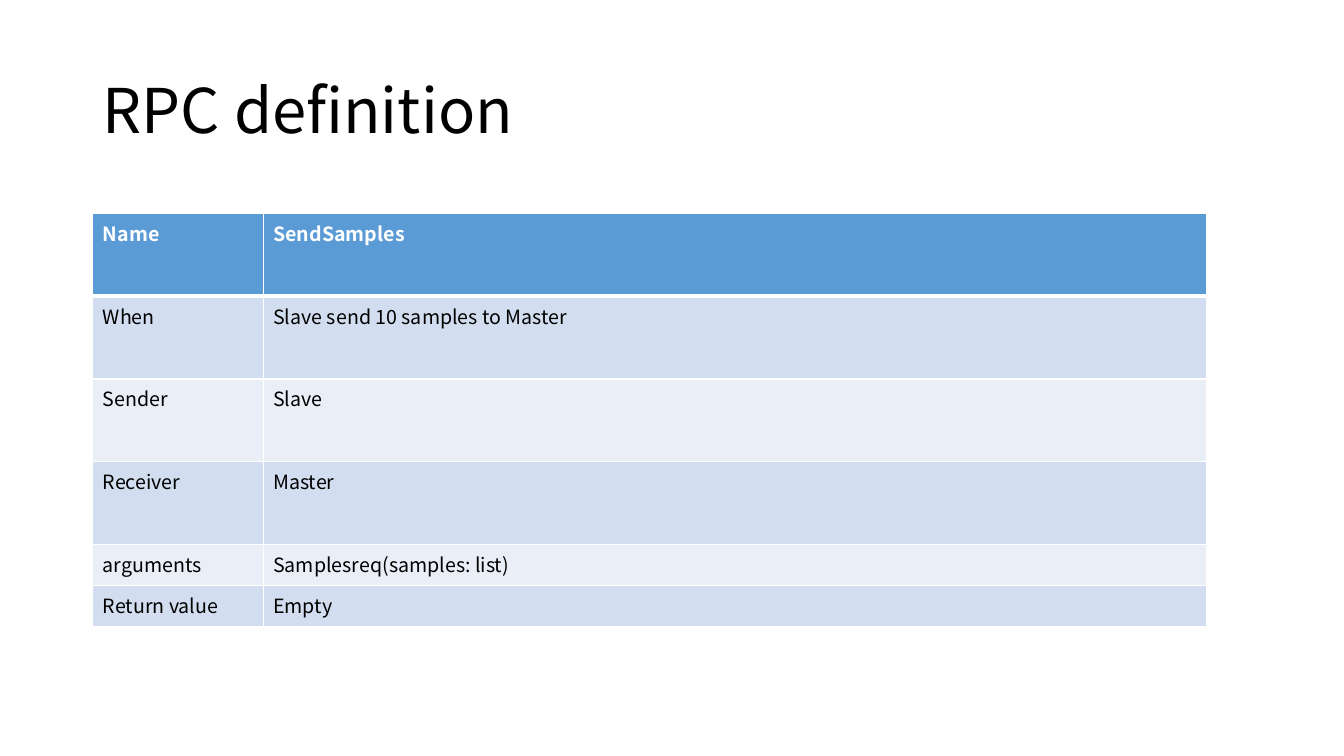
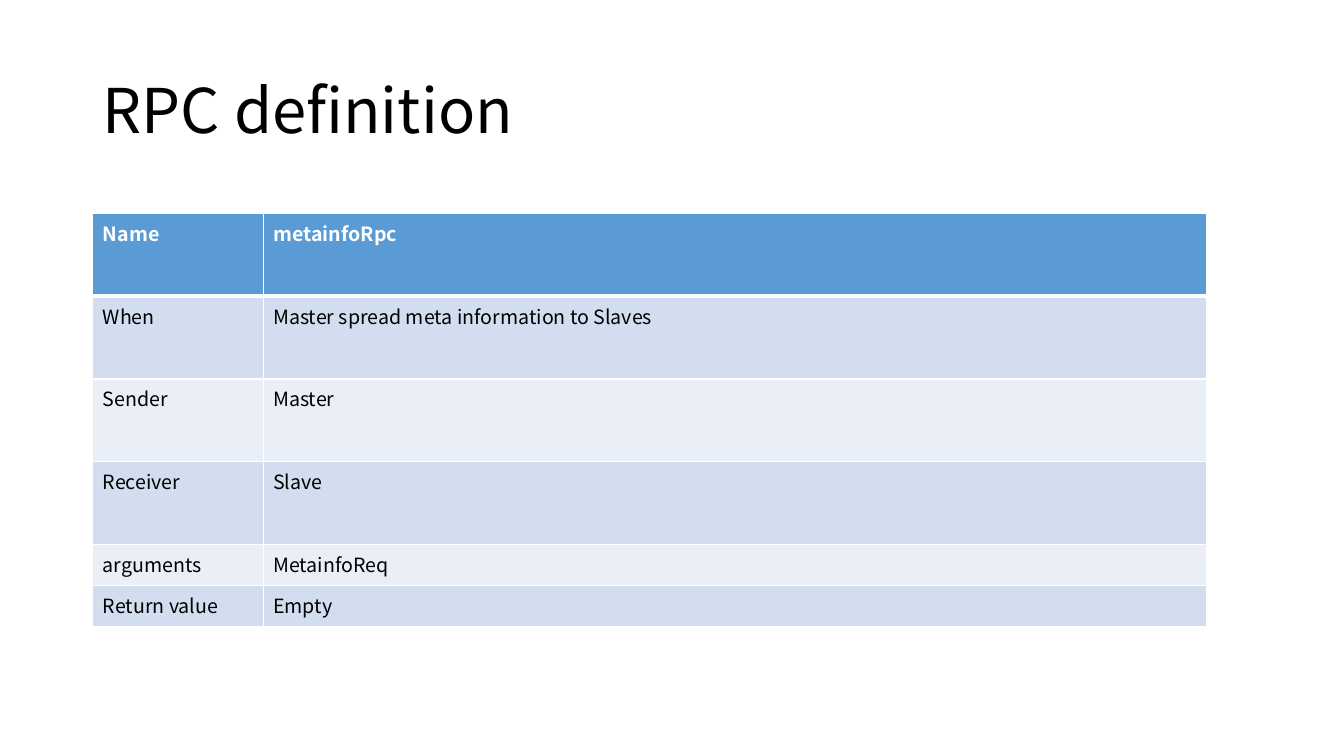
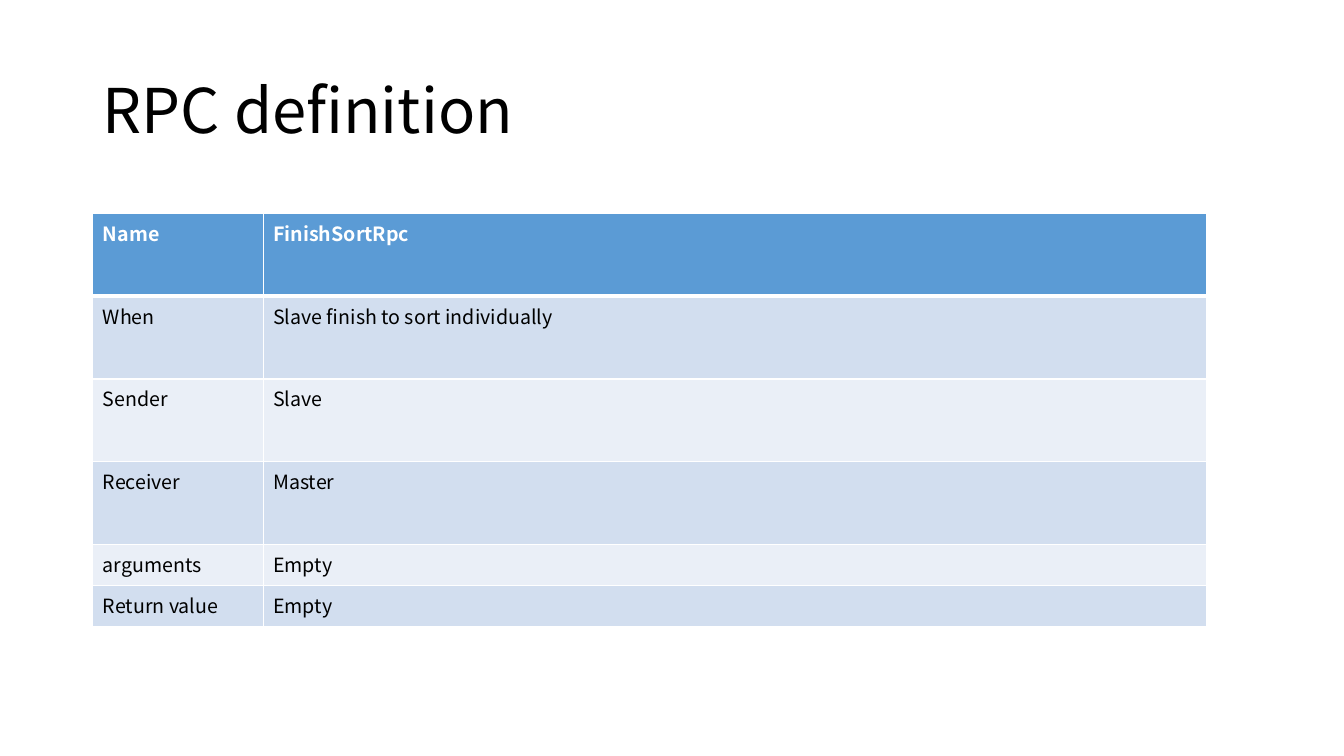
from dataclasses import dataclass

from lxml import etree
from pptx import Presentation
from pptx.dml.color import RGBColor
from pptx.enum import text
from pptx.oxml import ns
from pptx.util import Inches, Pt

# Content
TITLE = "RPC definition"
LABELS = ["Name", "When", "Sender", "Receiver", "arguments", "Return value"]
CALLS = [
    ["SendSamples", "Slave send 10 samples to Master", "Slave", "Master",
     "Samplesreq(samples: list)", "Empty"],
    ["metainfoRpc", "Master spread meta information to Slaves", "Master",
     "Slave", "MetainfoReq", "Empty"],
    ["FinishSortRpc", "Slave finish to sort individually", "Slave", "Master",
     "Empty", "Empty"],
]


# Theme
@dataclass(frozen=True)
class Theme:
    face: str = "Noto Sans CJK KR"
    ink: str = "000000"
    paper: str = "FFFFFF"
    head: str = "5B9BD5"
    bands: tuple = ("D2DEEF", "EAEFF7")
    big: int = 44
    small: int = 14
    thin: int = 1
    thick: int = 3


THEME = Theme()

# Layout
LEFT = 0.92
TITLE_BOX = dict(left=LEFT, top=0.4, width=11.5, height=1.45)
TABLE_TOP = 2.12
WIDTHS = [1.69, 9.36]
LINE = 0.41
HEIGHTS = [2 * LINE] * 4 + [LINE] * 2


def apply(item, values):
    for name, value in values.items():
        setattr(item, name, value)


def style(font, size, color, bold=False):
    apply(font, dict(name=THEME.face, size=Pt(size), bold=bold))
    font.color.rgb = RGBColor.from_string(color)


def border(cell, row):
    """Rule all four sides, with a thick line under the header."""
    props = cell._tc.get_or_add_tcPr()
    heavy = {0: "B", 1: "T"}.get(row)
    for side in "LRTB":
        width = THEME.thick if side == heavy else THEME.thin
        line = etree.SubElement(props, ns.qn(f"a:ln{side}"), w=str(Pt(width)))
        fill = etree.SubElement(line, ns.qn("a:solidFill"))
        etree.SubElement(fill, ns.qn("a:srgbClr"), val=THEME.paper)


def paint(cell, row, words):
    head = row == 0
    border(cell, row)
    cell.fill.solid()
    shade = THEME.head if head else THEME.bands[(row - 1) % 2]
    cell.fill.fore_color.rgb = RGBColor.from_string(shade)
    cell.text = words
    style(cell.text_frame.paragraphs[0].runs[0].font, THEME.small,
          THEME.paper if head else THEME.ink, head)


def add_title(slide):
    frame = slide.shapes.title.text_frame
    frame.text = TITLE
    apply(frame, dict(auto_size=text.MSO_AUTO_SIZE.NONE, word_wrap=True,
                      vertical_anchor=text.MSO_ANCHOR.MIDDLE))
    para = frame.paragraphs[0]
    apply(para, dict(alignment=text.PP_ALIGN.LEFT, line_spacing=0.9))
    style(para.runs[0].font, THEME.big, THEME.ink)


def add_grid(slide, values):
    box = (LEFT, TABLE_TOP, sum(WIDTHS), sum(HEIGHTS))
    grid = slide.shapes.add_table(
        len(LABELS), len(WIDTHS), *map(Inches, box)).table
    grid.horz_banding = False
    for col, width in zip(grid.columns, WIDTHS):
        col.width = Inches(width)
    for row, height in zip(grid.rows, HEIGHTS):
        row.height = Inches(height)
    for row, pair in enumerate(zip(LABELS, values)):
        for col, words in enumerate(pair):
            paint(grid.cell(row, col), row, words)


def main():
    deck = Presentation()
    apply(deck, dict(slide_width=Inches(13.33), slide_height=Inches(7.5)))

    # Shared title place and background
    layout = deck.slide_layouts[5]
    apply(layout.placeholders[0],
          {name: Inches(size) for name, size in TITLE_BOX.items()})
    layout.background.fill.solid()
    layout.background.fill.fore_color.rgb = RGBColor.from_string(THEME.paper)

    # One slide per call
    for values in CALLS:
        slide = deck.slides.add_slide(layout)
        add_title(slide)
        add_grid(slide, values)
    deck.save("out.pptx")


if __name__ == "__main__":
    main()
